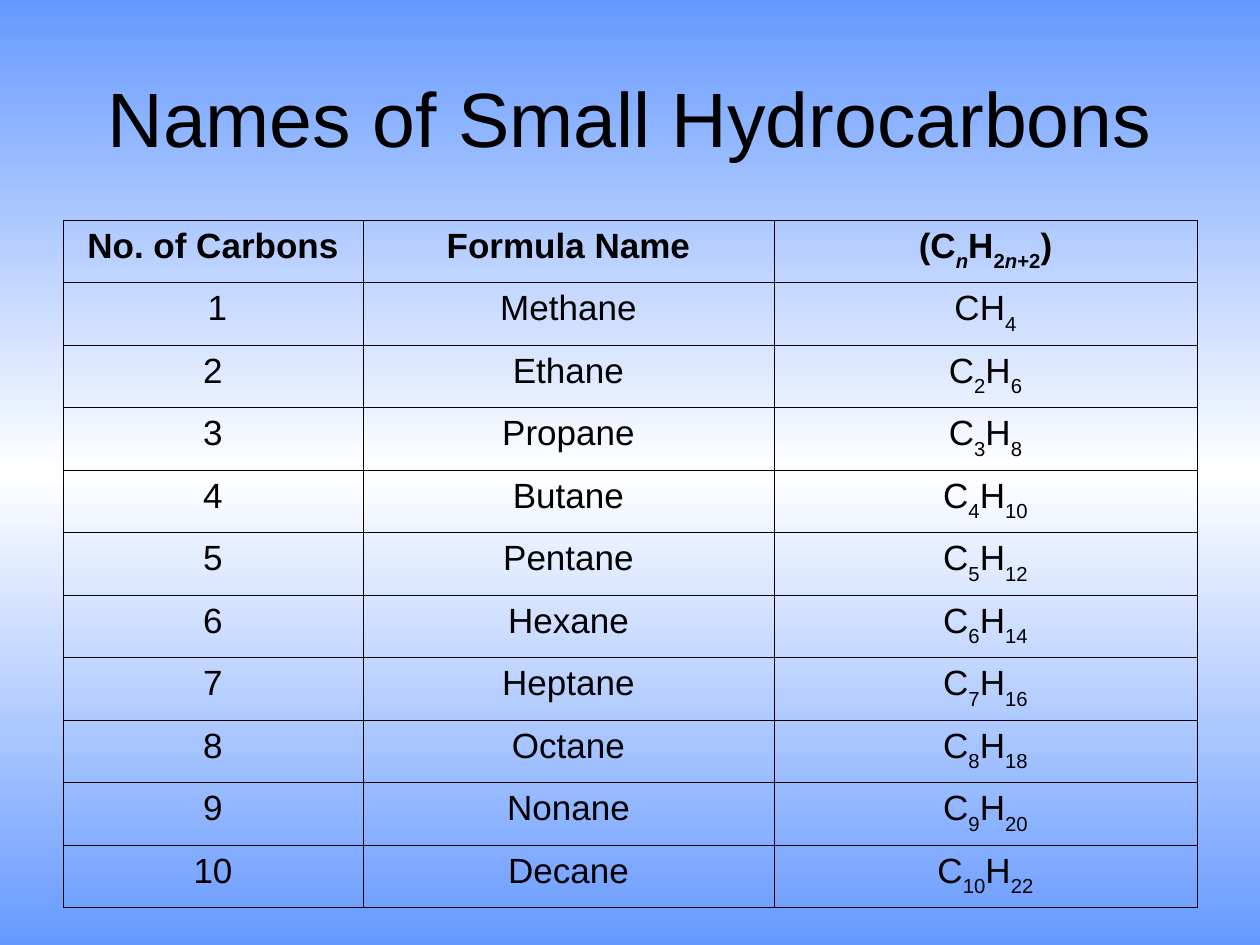
from copy import deepcopy

from lxml.etree import SubElement
from pptx import Presentation
from pptx.dml.color import RGBColor as RGB
from pptx.enum.text import MSO_ANCHOR, PP_ALIGN
from pptx.oxml import parse_xml
from pptx.oxml.ns import nsdecls, qn
from pptx.util import Emu, Pt

EMU_PER_PX = 914400 / 126
COLORS = {"text": "000000", "border": "000000", "edge": "6699FF", "middle": "FFFFFF"}
FORMATS = {
    "title": {"size": Pt(44), "name": "Arial"},
    "header": {"size": Pt(20), "name": "Arial", "bold": True},
    "body": {"size": Pt(20), "name": "Arial", "bold": False},
}
HEADERS = ["No. of Carbons", "Formula Name"]
GENERAL_FORMULA = [
    ("(C", {}), ("n", {"sub": True, "italic": True}), ("H", {}),
    ("2", {"sub": True}), ("n", {"sub": True, "italic": True}),
    ("+2", {"sub": True}), (")", {}),
]
ALKANES = ["Methane", "Ethane", "Propane", "Butane", "Pentane",
           "Hexane", "Heptane", "Octane", "Nonane", "Decane"]
COLUMN_WIDTHS = [300, 411, 423]


def px(n):
    return Emu(round(n * EMU_PER_PX))


def add_run(p, text, style, sub=False, **extra):
    r = p.add_run()
    r.text = text
    for name, value in {**FORMATS[style], **extra}.items():
        setattr(r.font, name, value)
    r.font.color.rgb = RGB.from_string(COLORS["text"])
    if sub:
        r._r.get_or_add_rPr().set("baseline", "-30000")


def set_background(s):
    fill = s.background.fill
    fill.gradient()
    fill.gradient_angle = 270
    stops = s.element.find(".//" + qn("a:gsLst"))
    stops.insert(1, deepcopy(stops[0]))
    for stop, position, color in zip(fill.gradient_stops, (0, 0.5, 1), ("edge", "middle", "edge")):
        stop.position = position
        stop.color.rgb = RGB.from_string(COLORS[color])


def add_title(s, text):
    sp = s.shapes.title
    sp.left, sp.top, sp.width, sp.height = map(px, (63, 38, 1134, 158))
    tf = sp.text_frame
    tf.vertical_anchor = MSO_ANCHOR.MIDDLE
    p = tf.paragraphs[0]
    p.alignment = PP_ALIGN.CENTER
    add_run(p, text, "title")


def set_borders(cell):
    tcPr = cell._tc.get_or_add_tcPr()
    for i, side in enumerate(("lnL", "lnR", "lnT", "lnB")):
        ln = parse_xml(f'<a:{side} {nsdecls("a")} w="{Pt(0.45)}"/>')
        fill = SubElement(ln, qn("a:solidFill"))
        SubElement(fill, qn("a:srgbClr"), val=COLORS["border"])
        tcPr.insert(i, ln)


def fill_cell(cell, runs, style):
    cell.fill.background()
    set_borders(cell)
    p = cell.text_frame.paragraphs[0]
    p.alignment = PP_ALIGN.CENTER
    pPr = p._p.get_or_add_pPr()
    pPr.set("marL", str(px(48)))
    pPr.set("indent", str(-px(48)))
    for text, extra in runs:
        add_run(p, text, style, **extra)


def alkane_row(n, name):
    number = [(str(n), {})]
    if n == 1:
        number.insert(0, (" ", {"name": "Times New Roman"}))
    carbon = [("C", {}), (str(n), {"sub": True}), ("H", {})] if n > 1 else [("CH", {})]
    return [number, [(name, {})], carbon + [(str(2 * n + 2), {"sub": True})]]


def add_alkane_table(s):
    rows = [[[(text, {})] for text in HEADERS] + [GENERAL_FORMULA]]
    rows += [alkane_row(n, name) for n, name in enumerate(ALKANES, 1)]
    frame = s.shapes.add_table(len(rows), len(COLUMN_WIDTHS), *map(px, (63, 220, 1134, 688)))
    table = frame.table
    table.first_row = table.horz_banding = False
    for column, width in zip(table.columns, COLUMN_WIDTHS):
        column.width = px(width)
    for i, row in enumerate(rows):
        for j, runs in enumerate(row):
            fill_cell(table.cell(i, j), runs, "body" if i else "header")


def main():
    prs = Presentation()
    prs.slide_width, prs.slide_height = px(1260), px(945)
    s = prs.slides.add_slide(prs.slide_layouts[5])
    set_background(s)
    add_title(s, "Names of Small Hydrocarbons")
    add_alkane_table(s)
    prs.save("out.pptx")


if __name__ == "__main__":
    main()
